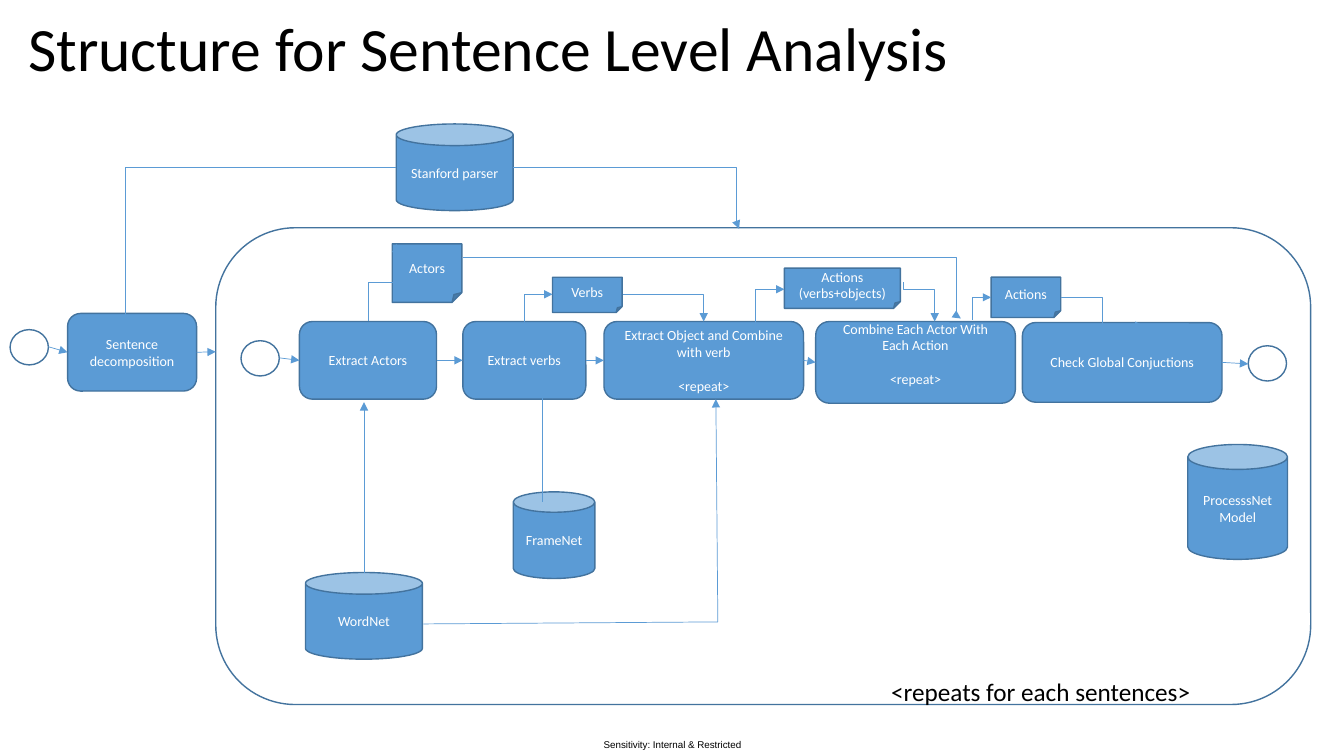
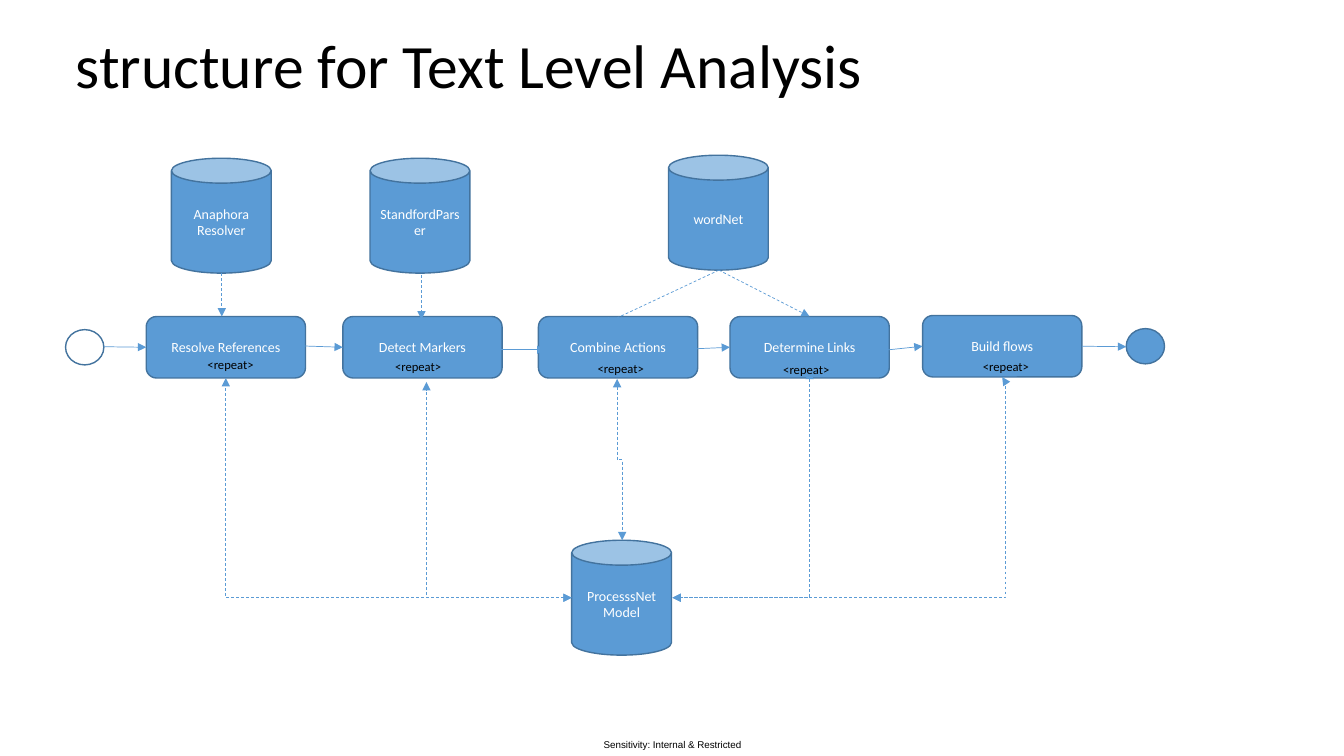
from lxml.etree import SubElement
from pptx import Presentation
from pptx.dml.color import RGBColor
from pptx.enum.dml import MSO_LINE
from pptx.enum.shapes import MSO_CONNECTOR, MSO_SHAPE
from pptx.enum.text import MSO_ANCHOR, MSO_AUTO_SIZE, PP_ALIGN
from pptx.oxml.ns import qn
from pptx.util import Inches, Pt

BLUE = RGBColor(0x5B, 0x9B, 0xD5)
OUTLINE = RGBColor(0x43, 0x73, 0x9E)
WHITE = RGBColor(0xFF, 0xFF, 0xFF)
BLACK = RGBColor(0x00, 0x00, 0x00)
STEP = MSO_SHAPE.ROUNDED_RECTANGLE
STORE = MSO_SHAPE.CAN
NOTE = MSO_SHAPE.FOLDED_CORNER
EVENT = MSO_SHAPE.FLOWCHART_CONNECTOR
TOP, LEFT, RIGHT = 0, 1, 3


def add_node(slide, kind, box, label="", fill=BLUE):
    node = slide.shapes.add_shape(kind, *[Inches(length) for length in box])
    node.shadow.inherit = False
    if fill is None:
        node.fill.background()
    else:
        node.fill.solid()
        node.fill.fore_color.rgb = fill
    node.line.color.rgb = OUTLINE
    node.line.width = Pt(1)
    if label:
        frame = node.text_frame
        frame.word_wrap = True
        frame.vertical_anchor = MSO_ANCHOR.MIDDLE
        frame.text = label
        for paragraph in frame.paragraphs:
            paragraph.alignment = PP_ALIGN.CENTER
            paragraph.font.size = Pt(10)
            paragraph.font.name = "Calibri"
            paragraph.font.color.rgb = WHITE
    return node


def add_link(slide, start, end, route="straight", bend=0.5, arrows="tail",
             dashed=False, begin_site=None, end_site=None):
    (x1, y1), (x2, y2) = start, end
    if route == "VHV":
        mid_x, mid_y = (x1 + x2) / 2, (y1 + y2) / 2
        turn = 1 if y2 < y1 else -1
        x1, y1, x2, y2 = (mid_x + turn * (y1 - mid_y), mid_y - turn * (x1 - mid_x),
                          mid_x + turn * (y2 - mid_y), mid_y - turn * (x2 - mid_x))
    kind = MSO_CONNECTOR.STRAIGHT if route == "straight" else MSO_CONNECTOR.ELBOW
    link = slide.shapes.add_connector(kind, Inches(x1), Inches(y1), Inches(x2), Inches(y2))
    properties = link._element.spPr
    geometry = properties.find(qn("a:prstGeom"))
    if route == "HV":
        geometry.set("prst", "bentConnector2")
    elif route != "straight":
        guide = SubElement(geometry.find(qn("a:avLst")), qn("a:gd"))
        guide.set("name", "adj1")
        guide.set("fmla", f"val {round(bend * 100000)}")
    if route == "VHV":
        properties.find(qn("a:xfrm")).set("rot", "5400000" if turn == 1 else "16200000")
    link.line.color.rgb = BLUE
    link.line.width = Pt(0.5)
    if dashed:
        link.line.dash_style = MSO_LINE.DASH
    for side in ("head", "tail"):
        if side in arrows:
            SubElement(properties.find(qn("a:ln")), qn(f"a:{side}End")).set("type", "triangle")
    SubElement(properties, qn("a:effectLst"))
    if begin_site:
        link.begin_connect(*begin_site)
    if end_site:
        link.end_connect(*end_site)


presentation = Presentation()
presentation.slide_width = Inches(13.33)
presentation.slide_height = Inches(7.5)

slides = []
captions = []
for heading, top, left, height in [
    ("Structure for Sentence Level Analysis", 0.13, 0.18, 0.77),
    ("structure for Text Level Analysis", -0.04, 0.65, 1.45),
]:
    slide = presentation.slides.add_slide(presentation.slide_layouts[5])
    title = slide.shapes.title
    title.left, title.top = Inches(left), Inches(top)
    title.width, title.height = Inches(11.5), Inches(height)
    title.text_frame.text = heading
    title.text_frame.auto_size = MSO_AUTO_SIZE.NONE
    title.text_frame.vertical_anchor = MSO_ANCHOR.MIDDLE
    paragraph = title.text_frame.paragraphs[0]
    paragraph.alignment = PP_ALIGN.LEFT
    paragraph.line_spacing = 0.9
    paragraph.font.size = Pt(44)
    paragraph.font.name = "Calibri"
    paragraph.font.color.rgb = BLACK
    slides.append(slide)
    captions.append((slide, (5.85, 7.28, 1.64, 0.22), "Sensitivity: Internal & Restricted", 7, "Arial"))
sentence_slide, text_slide = slides

add_node(sentence_slide, STEP, (2.14, 2.26, 10.86, 4.73), fill=WHITE)
decompose, actors, verbs, objects, combine, check = [
    add_node(sentence_slide, STEP, box, label)
    for box, label in [
        ((0.67, 3.11, 1.28, 0.77), "Sentence decomposition"),
        ((2.97, 3.19, 1.36, 0.77), "Extract Actors"),
        ((4.59, 3.19, 1.22, 0.77), "Extract verbs"),
        ((5.99, 3.19, 1.98, 0.77), "Extract Object and Combine with verb\n<repeat>"),
        ((8.09, 3.19, 1.98, 0.81), "Combine Each Actor With Each Action\n<repeat>"),
        ((10.14, 3.2, 1.98, 0.79), "Check Global Conjuctions"),
    ]
]
for step in (objects, combine):
    step.text_frame.paragraphs[1].space_before = Pt(12)
combine.text_frame.margin_bottom = Inches(0.22)

for kind, box, label in [
    (STORE, (3.93, 1.23, 1.16, 0.86), "Stanford parser"),
    (STORE, (3.03, 5.68, 1.16, 0.86), "WordNet"),
    (STORE, (5.09, 4.88, 0.81, 0.86), "FrameNet"),
    (STORE, (11.78, 4.41, 0.99, 1.14), "ProcesssNet\vModel"),
    (NOTE, (3.89, 2.42, 0.69, 0.58), "Actors"),
    (NOTE, (5.48, 2.75, 0.69, 0.35), "Verbs"),
    (NOTE, (7.78, 2.66, 1.15, 0.4), "Actions\n(verbs+objects)"),
    (NOTE, (9.83, 2.75, 0.69, 0.4), "Actions"),
]:
    add_node(sentence_slide, kind, box, label)
for left, top in [(0.1, 3.27), (2.39, 3.38), (12.38, 3.43)]:
    add_node(sentence_slide, EVENT, (left, top, 0.38, 0.35), fill=None)

for start, end, options in [
    ((0.48, 3.44), (0.67, 3.49), {"end_site": (decompose, LEFT)}),
    ((1.95, 3.49), (2.14, 3.49), {"begin_site": (decompose, RIGHT)}),
    ((2.77, 3.55), (2.97, 3.57), {"end_site": (actors, LEFT)}),
    ((4.33, 3.57), (4.59, 3.57), {"begin_site": (actors, RIGHT), "end_site": (verbs, LEFT)}),
    ((5.8, 3.57), (5.99, 3.58), {"begin_site": (verbs, RIGHT), "end_site": (objects, LEFT)}),
    ((7.97, 3.58), (8.09, 3.59), {"begin_site": (objects, RIGHT), "end_site": (combine, LEFT)}),
    ((12.12, 3.61), (12.38, 3.61), {"begin_site": (check, RIGHT)}),
    ((3.61, 5.68), (3.61, 3.99), {}),
    ((4.2, 6.19), (7.12, 6.17), {"arrows": ""}),
    ((7.12, 6.17), (7.1, 3.96), {}),
    ((5.38, 4.98), (5.38, 3.77), {}),
    ((8.13, 3.75), (8.36, 3.74), {}),
    ((3.65, 3.19), (3.93, 2.42), {"route": "VHV"}),
    ((4.59, 2.55), (9.53, 3.16), {"route": "HVH", "bend": 0.99}),
    ((5.48, 2.92), (5.2, 3.19), {"route": "HV", "arrows": "head"}),
    ((6.18, 2.92), (6.98, 3.19), {"route": "HV"}),
    ((7.78, 2.87), (7.49, 3.23), {"route": "HV", "arrows": "head"}),
    ((8.96, 2.8), (9.27, 3.19), {"route": "VHV", "bend": 0.19}),
    ((9.83, 2.95), (9.64, 3.18), {"route": "HV", "arrows": "head"}),
    ((10.52, 2.95), (11.34, 3.23), {"route": "HVH"}),
    ((3.93, 1.66), (1.04, 3.18), {"route": "HVH", "bend": 0.93}),
    ((5.09, 1.66), (7.33, 2.27), {"route": "HVH", "bend": 0.99}),
]:
    add_link(sentence_slide, start, end, **options)
captions.append((sentence_slide, (8.74, 6.66, 3.3, 0.4), "<repeats for each sentences>", 18, "Calibri"))

text_steps = []
for label, left, top, repeat_left, repeat_top in [
    ("Resolve References", 1.45, 3.14, 1.96, 3.49),
    ("Detect Markers", 3.4, 3.14, 3.82, 3.51),
    ("Combine Actions", 5.34, 3.14, 5.83, 3.53),
    ("Determine Links", 7.24, 3.14, 7.67, 3.54),
    ("Build flows", 9.15, 3.13, 9.65, 3.51),
]:
    text_steps.append(add_node(text_slide, STEP, (left, top, 1.58, 0.61), label))
    captions.append((text_slide, (repeat_left, repeat_top, 0.74, 0.25), "<repeat>", 9, "Calibri"))
resolve, detect, merge, determine, build = text_steps

for label, left, top in [
    ("ProcesssNet\vModel", 5.67, 5.36),
    ("Anaphora Resolver", 1.7, 1.57),
    ("StandfordParser", 3.67, 1.57),
    ("wordNet", 6.63, 1.54),
]:
    add_node(text_slide, STORE, (left, top, 0.99, 1.14), label)
add_node(text_slide, EVENT, (0.65, 3.27, 0.38, 0.35), fill=None)
add_node(text_slide, EVENT, (11.17, 3.26, 0.38, 0.35))

for start, end, options in [
    ((2.2, 2.71), (2.2, 3.14), {}),
    ((4.18, 2.73), (4.18, 3.17), {}),
    ((7.13, 2.68), (5.98, 3.22), {}),
    ((7.13, 2.68), (8.03, 3.14), {"end_site": (determine, TOP)}),
    ((5.67, 5.93), (2.24, 3.75), {"route": "HV", "arrows": "head tail"}),
    ((5.67, 5.93), (4.23, 3.79), {"route": "HV", "arrows": "head tail"}),
    ((6.67, 5.93), (8.03, 3.68), {"route": "HV", "arrows": "head tail"}),
    ((6.12, 3.76), (6.17, 5.36), {"route": "VHV", "arrows": "head tail"}),
    ((9.94, 3.74), (6.67, 5.93), {"route": "HVH", "bend": -0.01, "arrows": "head tail"}),
]:
    add_link(text_slide, start, end, dashed=True, **options)

for start, end, options in [
    ((1.03, 3.44), (1.45, 3.44), {"end_site": (resolve, LEFT)}),
    ((2.94, 3.43), (3.4, 3.43), {"end_site": (detect, LEFT)}),
    ((4.95, 3.47), (5.41, 3.47), {}),
    ((6.68, 3.47), (7.24, 3.44), {"end_site": (determine, LEFT)}),
    ((8.72, 3.48), (9.15, 3.43), {"end_site": (build, LEFT)}),
    ((10.72, 3.43), (11.17, 3.44), {"begin_site": (build, RIGHT)}),
]:
    add_link(text_slide, start, end, **options)

for slide, box, words, size, font in captions:
    caption = slide.shapes.add_textbox(*[Inches(length) for length in box])
    frame = caption.text_frame
    frame.word_wrap = True
    frame.text = words
    paragraph = frame.paragraphs[0]
    paragraph.font.size = Pt(size)
    paragraph.font.name = font
    paragraph.font.color.rgb = BLACK
    if font == "Arial":
        frame.margin_left = frame.margin_right = frame.margin_top = frame.margin_bottom = 0
        frame.vertical_anchor = MSO_ANCHOR.MIDDLE
        paragraph.alignment = PP_ALIGN.CENTER

presentation.save("out.pptx")
